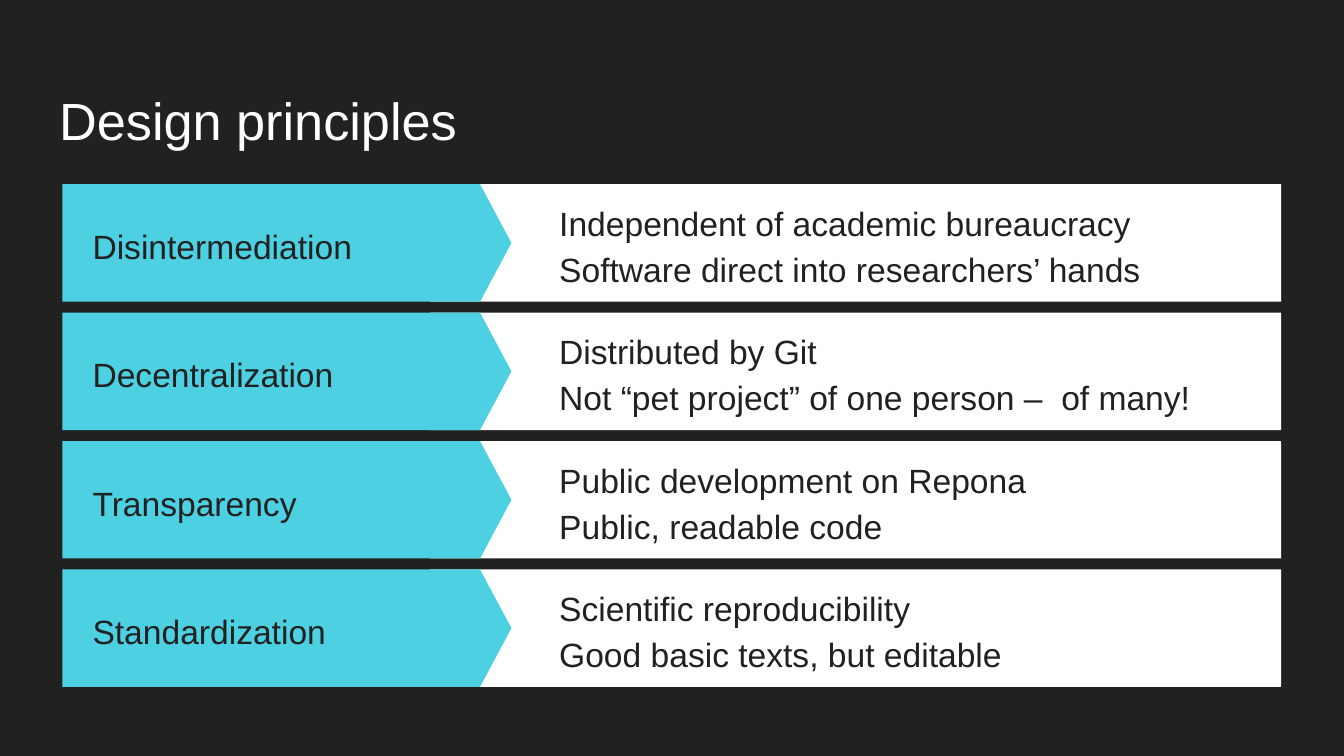
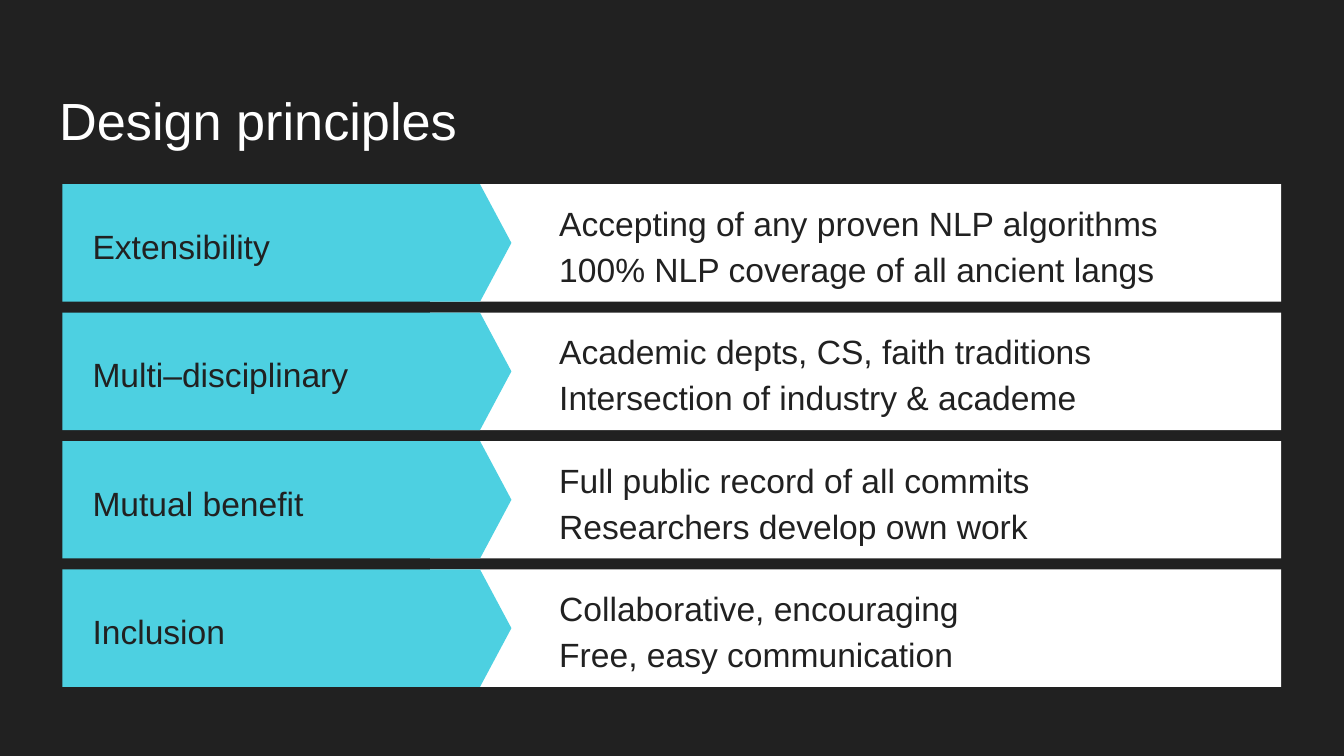
from pptx import Presentation
from pptx.dml.color import RGBColor
from pptx.enum.shapes import MSO_SHAPE
from pptx.enum.text import MSO_ANCHOR, MSO_AUTO_SIZE, PP_ALIGN
from pptx.oxml.ns import qn
from pptx.util import Pt

DARK = RGBColor(0x21, 0x21, 0x21)
WHITE = RGBColor(0xFF, 0xFF, 0xFF)
CYAN = RGBColor(0x4D, 0xD0, 0xE1)
RECT = MSO_SHAPE.RECTANGLE
PLATE = MSO_SHAPE.PENTAGON
TOP = MSO_ANCHOR.TOP
MID = MSO_ANCHOR.MIDDLE
LEFT = PP_ALIGN.LEFT
FIXED = MSO_AUTO_SIZE.NONE
FONT = "Arial"
PAD = Pt(7.2)
LAYOUT = 4

TITLE = "Design principles"
HEAD = (24.5, 35, 671, 45.4)
ROWS = (33.4, 98.7, 652.9, 62.9)
PITCH = 68.8

SLIDES = [
    [
        ("Disintermediation", ["Independent of academic bureaucracy",
                               "Software direct into researchers’ hands"]),
        ("Decentralization", ["Distributed by Git",
                              "Not “pet project” of one person –  of many!"]),
        ("Transparency", ["Public development on Repona",
                          "Public, readable code"]),
        ("Standardization", ["Scientific reproducibility",
                             "Good basic texts, but editable"]),
    ],
    [
        ("Extensibility", ["Accepting of any proven NLP algorithms",
                           "100% NLP coverage of all ancient langs"]),
        ("Multi–disciplinary", ["Academic depts, CS, faith traditions",
                                "Intersection of industry & academe"]),
        ("Mutual benefit", ["Full public record of all commits",
                            "Researchers develop own work"]),
        ("Inclusion", ["Collaborative, encouraging",
                       "Free, easy communication"]),
    ],
]


def place(shape, x, y, w, h):
    shape.left, shape.top = Pt(x), Pt(y)
    shape.width, shape.height = Pt(w), Pt(h)


def write(shape, lines, size=18, color=DARK, anchor=MID, hang=0):
    frame = shape.text_frame
    frame.word_wrap = True
    frame.auto_size = FIXED
    frame.vertical_anchor = anchor
    frame.margin_left = frame.margin_right = PAD
    frame.margin_top = frame.margin_bottom = PAD
    frame.text = "\n".join(lines)
    for para in frame.paragraphs:
        props = para._p.get_or_add_pPr()
        props.set("marL", str(Pt(2 * hang)))
        props.set("indent", str(Pt(-hang)))
        props.append(props.makeelement(qn("a:buNone"), {}))
        para.alignment = LEFT
        para.line_spacing = 1.15
        para.space_before = para.space_after = Pt(0)
        font = para.runs[0].font
        font.name, font.size, font.bold = FONT, Pt(size), False
        font.color.rgb = color


def block(group, kind, fill, x, y, w, h):
    shape = group.shapes.add_shape(kind, Pt(x), Pt(y), Pt(w), Pt(h))
    shape.shadow.inherit = False
    shape.fill.solid()
    shape.fill.fore_color.rgb = fill
    shape.line.fill.background()
    return shape


def add_row(slide, hold, name, lines, x, y, w, h):
    band = slide.shapes.add_group_shape()
    block(band, RECT, WHITE, x + 197, y, w - 197, h)
    arrow = block(band, PLATE, CYAN, x, y, 240.6, h)
    arrow.adjustments[0] = 0.267
    hold.element.addprevious(band.element)
    place(hold, x + 241, y, 402.5, h)
    write(hold, lines, hang=18)
    label = slide.shapes.add_textbox(Pt(x + 9.1), Pt(y), Pt(190.8), Pt(h))
    write(label, [name])


def add_page(deck, rows):
    slide = deck.slides.add_slide(deck.slide_layouts[LAYOUT])
    slide.background.fill.solid()
    slide.background.fill.fore_color.rgb = DARK
    title, *holds = [p for p in slide.placeholders]
    place(title, *HEAD)
    write(title, [TITLE], size=28, color=WHITE, anchor=TOP)
    x, y, w, h = ROWS
    for i, (hold, (name, lines)) in enumerate(zip(holds, rows)):
        add_row(slide, hold, name, lines, x, y + i * PITCH, w, h)


def main():
    deck = Presentation()
    deck.slide_width, deck.slide_height = Pt(720), Pt(405)
    for rows in SLIDES:
        add_page(deck, rows)
    deck.save("out.pptx")


if __name__ == "__main__":
    main()
